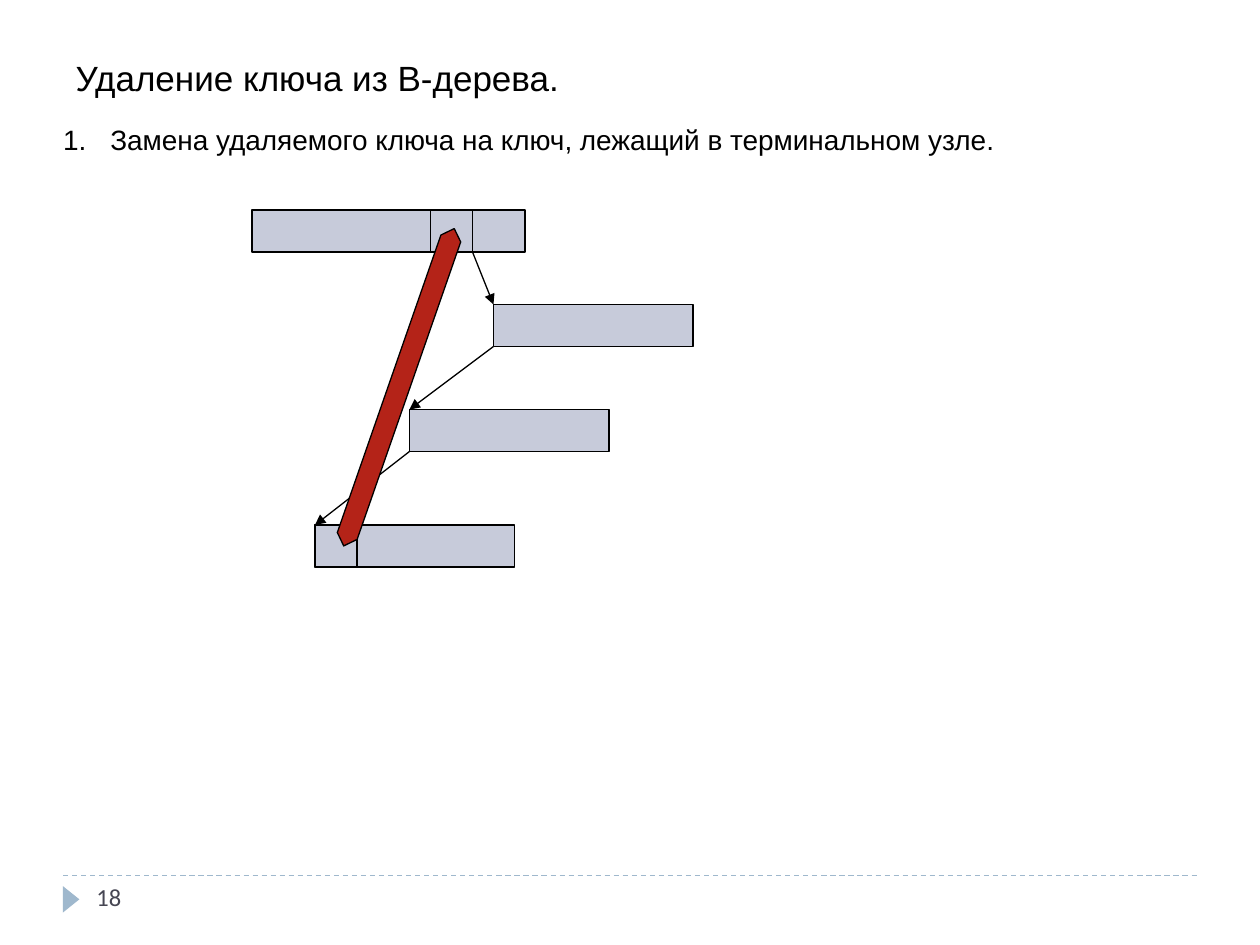
from itertools import pairwise

from lxml.etree import SubElement
from pptx import Presentation
from pptx.dml.color import RGBColor
from pptx.enum.dml import MSO_LINE
from pptx.enum.shapes import MSO_CONNECTOR, MSO_SHAPE
from pptx.enum.text import MSO_ANCHOR, MSO_AUTO_SIZE, PP_ALIGN
from pptx.oxml.ns import qn
from pptx.util import Pt

BLACK = "000000"
NODE_FILL = "C7CBDA"
ARROW_RED = "B42318"
FOOTER_BLUE = "9FB8CD"
FOOTER_TEXT = "464653"
CELL = 24


def color(hex_code):
    return RGBColor.from_string(hex_code)


def place(shape, left, top, width, height):
    shape.left, shape.top = Pt(left), Pt(top)
    shape.width, shape.height = Pt(width), Pt(height)


def write(shape, text, size, font_name, hex_code, wrap=False):
    frame = shape.text_frame
    frame.word_wrap = wrap
    frame.auto_size = MSO_AUTO_SIZE.NONE if wrap else MSO_AUTO_SIZE.SHAPE_TO_FIT_TEXT
    frame.vertical_anchor = MSO_ANCHOR.TOP
    paragraph = frame.paragraphs[0]
    paragraph.alignment = PP_ALIGN.LEFT
    paragraph.space_before = Pt(0)
    run = paragraph.add_run()
    run.text = text
    run.font.size = Pt(size)
    run.font.name = font_name
    run.font.color.rgb = color(hex_code)
    return paragraph


def add_shape(slide, kind, left, top, width, height, fill, line=BLACK):
    shape = slide.shapes.add_shape(kind, Pt(left), Pt(top), Pt(width), Pt(height))
    shape.shadow.inherit = False
    shape.fill.solid()
    shape.fill.fore_color.rgb = color(fill)
    if line:
        shape.line.color.rgb = color(line)
        shape.line.width = Pt(0.75)
    else:
        shape.line.fill.background()
    return shape


def add_line(slide, start, end, hex_code):
    connector = slide.shapes.add_connector(
        MSO_CONNECTOR.STRAIGHT, *(Pt(value) for value in (*start, *end)))
    connector.line.color.rgb = color(hex_code)
    connector.line.width = Pt(0.75)
    SubElement(connector._element.spPr, qn("a:effectLst"))
    return connector


def add_pointer(slide, start, end):
    connector = add_line(slide, start, end, BLACK)
    SubElement(connector.line._get_or_add_ln(), qn("a:tailEnd"), type="triangle")


def add_footer(slide, left, top, width, number):
    rule = add_line(slide, (left, top), (left + width, top), FOOTER_BLUE)
    rule.line.dash_style = MSO_LINE.DASH
    marker = add_shape(slide, MSO_SHAPE.ISOSCELES_TRIANGLE,
                       left - 2.9, top + 8.8, 15.1, 9.4, FOOTER_BLUE, None)
    marker.rotation = 90
    box = slide.shapes.add_textbox(Pt(left + 12), Pt(top), Pt(156), Pt(29))
    write(box, number, 14, "Calibri", FOOTER_TEXT, wrap=True)


def fill_title(slide, left, top, width, height):
    title = slide.shapes.title
    place(title, left, top, width, height)
    write(title, "Удаление ключа из B-дерева.", 20, "Arial", BLACK)


def fill_steps(slide, left, top, width, height):
    body = slide.placeholders[1]
    place(body, left, top, width, height)
    paragraph = write(body, "Замена удаляемого ключа на ключ, лежащий в терминальном узле.",
                      16, "Arial", BLACK)
    properties = paragraph._p.get_or_add_pPr()
    properties.set("marL", str(Pt(27)))
    properties.set("indent", str(-Pt(27)))
    SubElement(properties, qn("a:buFont"), typeface="+mj-lt")
    SubElement(properties, qn("a:buAutoNum"), type="arabicPeriod")


def add_tree(slide, left, top):
    root, deleted_key = (left, top), (left + 102, top)
    children = [(left + 138, top + 54), (left + 90, top + 114), (left + 36, top + 180)]
    leaf_key = children[-1]

    cells = [(root, 156), (deleted_key, CELL)]
    cells += [(child, 114) for child in children] + [(leaf_key, CELL)]
    for corner, width in cells:
        add_shape(slide, MSO_SHAPE.RECTANGLE, *corner, width, CELL, NODE_FILL)

    key_right = (deleted_key[0] + CELL, top)
    for (parent_x, parent_y), child in pairwise([key_right, *children]):
        add_pointer(slide, (parent_x, parent_y + CELL), child)

    swap = add_shape(slide, MSO_SHAPE.UP_DOWN_ARROW, left + 78, top + 5.3, 12, 192, ARROW_RED)
    swap.adjustments[0] = 0.5
    swap.adjustments[1] = 3.2
    swap.rotation = 19.2


def main():
    presentation = Presentation()
    presentation.slide_width, presentation.slide_height = Pt(720), Pt(540)
    slide = presentation.slides.add_slide(presentation.slide_layouts[1])
    add_footer(slide, 36, 500.4, 648, "18")
    fill_title(slide, 36, 28.8, 291.6, 31)
    fill_steps(slide, 28.8, 66.2, 550.8, 26.6)
    add_tree(slide, 144, 120)
    presentation.save("out.pptx")


if __name__ == "__main__":
    main()
